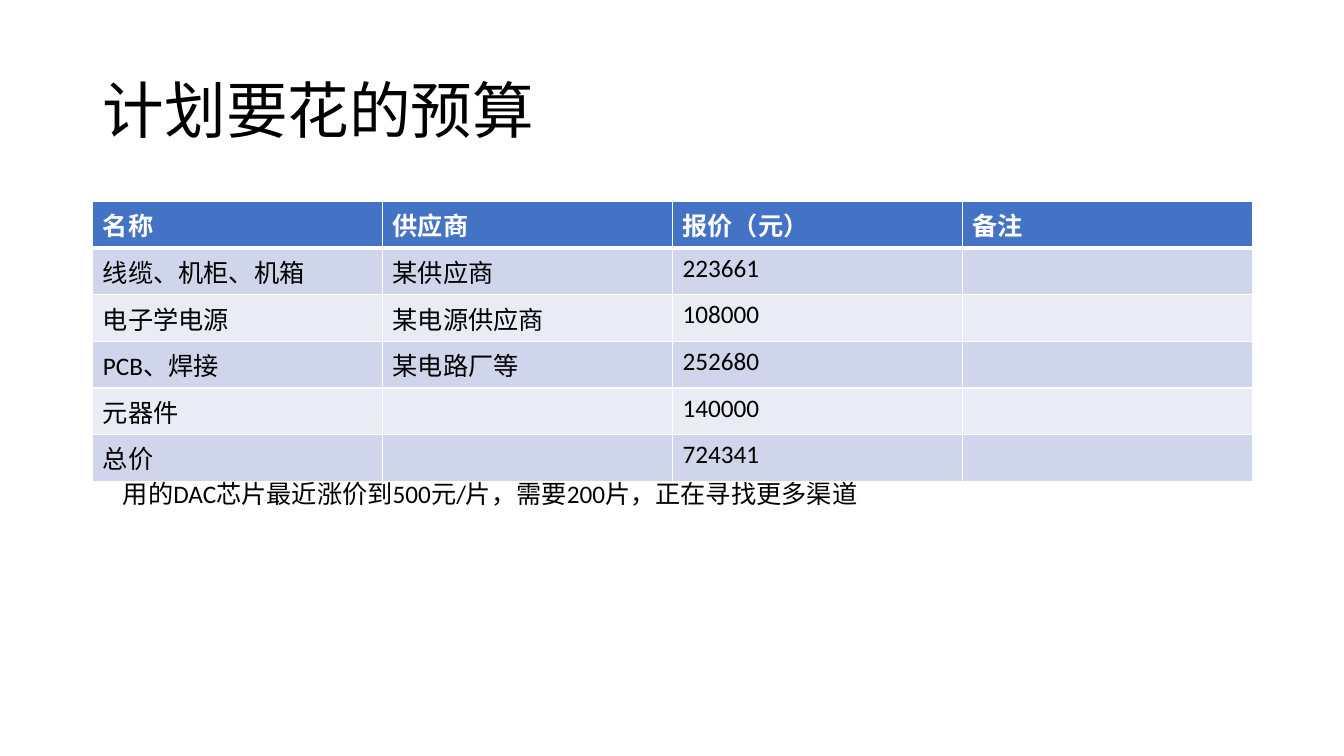
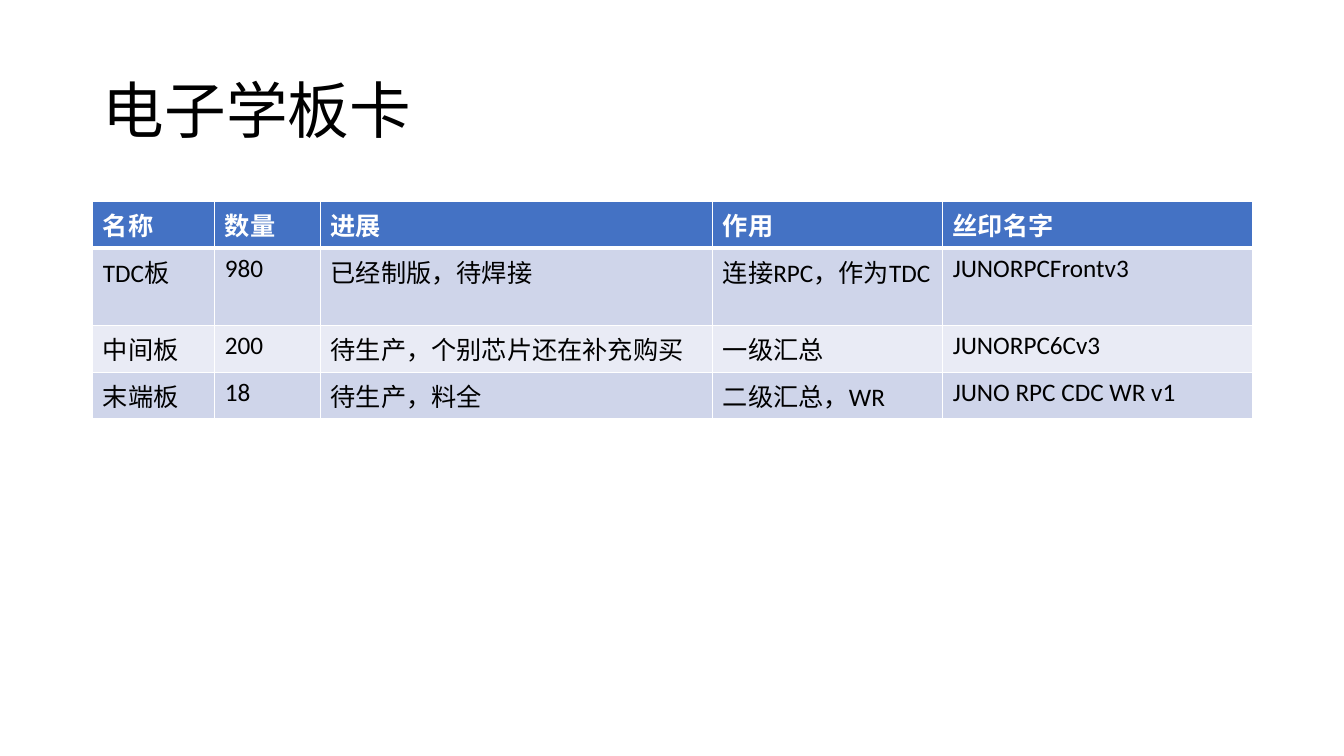
from lxml.etree import SubElement
from pptx import Presentation
from pptx.dml.color import RGBColor
from pptx.enum.text import MSO_ANCHOR, MSO_AUTO_SIZE, PP_ALIGN
from pptx.oxml.ns import qn
from pptx.util import Inches, Pt

BLUE = RGBColor(0x44, 0x72, 0xC4)
BAND_DARK = RGBColor(0xCF, 0xD5, 0xEA)
BAND_LIGHT = RGBColor(0xE9, 0xEB, 0xF5)
WHITE = RGBColor(0xFF, 0xFF, 0xFF)
BLACK = RGBColor(0x00, 0x00, 0x00)
FONT = "Calibri"
MARGIN, CONTENT_WIDTH = 0.92, 11.5
TABLE_TOP, ROW_HEIGHT = 2, 0.41

BUDGET = [
    ["名称", "供应商", "报价（元）", "备注"],
    ["线缆、机柜、机箱", "某供应商", "223661", ""],
    ["电子学电源", "某电源供应商", "108000", ""],
    ["PCB、焊接", "某电路厂等", "252680", ""],
    ["元器件", "", "140000", ""],
    ["总价", "", "724341", ""],
]
BOARDS = [
    ["名称", "数量", "进展", "作用", "丝印名字"],
    ["TDC板", "980", "已经制版，待焊接", "连接RPC，作为TDC", "JUNORPCFrontv3"],
    ["中间板", "200", "待生产，个别芯片还在补充购买", "一级汇总", "JUNORPC6Cv3"],
    ["末端板", "18", "待生产，料全", "二级汇总，WR", "JUNO RPC CDC WR v1"],
]
PAGES = [
    ("计划要花的预算", BUDGET, [CONTENT_WIDTH / 4] * 4,
     "用的DAC芯片最近涨价到500元/片，需要200片，正在寻找更多渠道"),
    ("电子学板卡", BOARDS, [1.21, 1.05, 3.89, 2.28, 3.07], None),
]


def add_span(para, text, size=18, color=BLACK, bold=False):
    span = para.add_run()
    span.text = text
    span.font.name = FONT
    span.font.size = Pt(size)
    span.font.bold = bold
    span.font.color.rgb = color


def add_borders(cell, top, bottom):
    """Draw white cell borders; top and bottom are widths in points."""
    properties = cell._tc.get_or_add_tcPr()
    for tag, width in (("a:lnL", 1), ("a:lnR", 1), ("a:lnT", top), ("a:lnB", bottom)):
        line = SubElement(properties, qn(tag), w=str(Pt(width)))
        fill = SubElement(line, qn("a:solidFill"))
        SubElement(fill, qn("a:srgbClr"), val=str(WHITE))


deck = Presentation()
deck.slide_width = Inches(13.33)
deck.slide_height = Inches(7.5)
layout = deck.slide_layouts.get_by_name("Title Only")

for heading, rows, widths, note in PAGES:
    page = deck.slides.add_slide(layout)

    title = page.shapes.title
    title.left, title.top = Inches(MARGIN), Inches(0.4)
    title.width, title.height = Inches(CONTENT_WIDTH), Inches(1.45)
    title.text_frame.vertical_anchor = MSO_ANCHOR.MIDDLE
    para = title.text_frame.paragraphs[0]
    para.alignment = PP_ALIGN.LEFT
    para.line_spacing = 0.9
    add_span(para, heading, size=44)

    table = page.shapes.add_table(
        len(rows), len(widths), Inches(MARGIN), Inches(TABLE_TOP),
        Inches(CONTENT_WIDTH), Inches(ROW_HEIGHT * len(rows))).table
    for column, width in zip(table.columns, widths):
        column.width = Inches(width)
    for row_number, texts in enumerate(rows):
        table.rows[row_number].height = Inches(ROW_HEIGHT)
        is_header = row_number == 0
        band = BLUE if is_header else BAND_DARK if row_number % 2 else BAND_LIGHT
        for column_number, text in enumerate(texts):
            cell = table.cell(row_number, column_number)
            add_borders(cell, top=3 if row_number == 1 else 1, bottom=3 if is_header else 1)
            cell.fill.solid()
            cell.fill.fore_color.rgb = band
            if text:
                add_span(cell.text_frame.paragraphs[0], text,
                         color=WHITE if is_header else BLACK, bold=is_header)

    if note:
        box = page.shapes.add_textbox(Inches(1.12), Inches(4.7), Inches(8.78), Inches(0.4))
        box.text_frame.word_wrap = True
        box.text_frame.auto_size = MSO_AUTO_SIZE.SHAPE_TO_FIT_TEXT
        add_span(box.text_frame.paragraphs[0], note)

deck.save("out.pptx")
